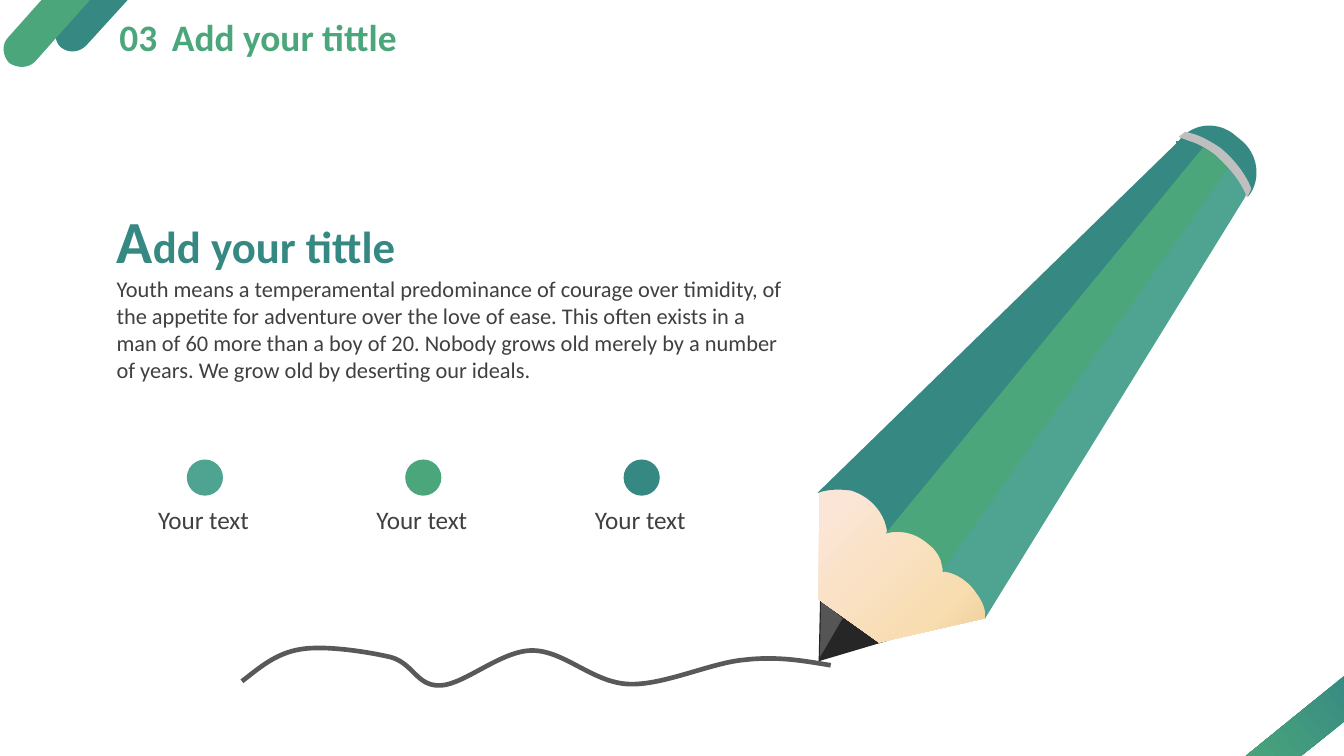
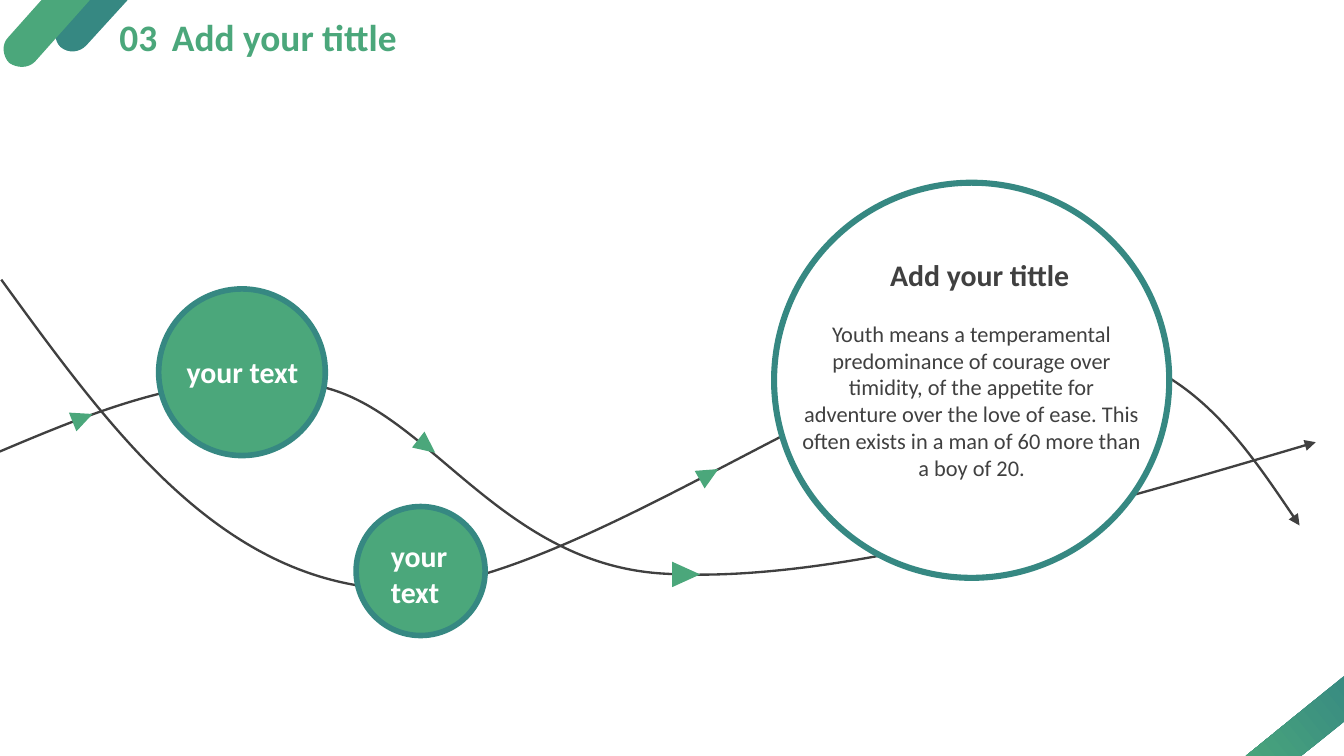
from math import cos, radians, sin

from lxml import etree
from pptx import Presentation
from pptx.dml.color import RGBColor
from pptx.enum.shapes import MSO_SHAPE as Preset
from pptx.enum.text import MSO_AUTO_SIZE as AutoSize, PP_ALIGN as Align
from pptx.oxml.ns import qn
from pptx.util import Pt

TEAL = RGBColor(0x36, 0x88, 0x82)
GREEN = RGBColor(0x4B, 0xA7, 0x7B)
SEA = RGBColor(0x4E, 0xA4, 0x91)
INK = RGBColor(0x40, 0x40, 0x40)
STROKE = RGBColor(0x59, 0x59, 0x59)
GRAPHITE = RGBColor(0x26, 0x26, 0x26)
SILVER = RGBColor(0xBF, 0xBF, 0xBF)
WHITE = RGBColor(0xFF, 0xFF, 0xFF)
SKIN = RGBColor(0xFB, 0xE5, 0xD6)
CREAM = RGBColor(0xF8, 0xDD, 0xB0)
TAN = RGBColor(0xE9, 0xC5, 0x8D)

FONT = "Calibri"
BAR_TURN, CORNER_TURN, PENCIL_TURN = 42.1, 50.9, 37.4
QUOTE = ("Youth means a temperamental predominance of courage over timidity, "
         "of the appetite for adventure over the love of ease. "
         "This often exists in a man of 60 more than a boy of 20.")
QUOTE_END = (" Nobody grows old merely by a number of years. "
             "We grow old by deserting our ideals.")

# Outlines use M, L, C and Z commands with slide positions in points.
TEAL_BAR = """M 42.5 0 L 68.4 0 L 46.1 24.5 C 42.5 28.1 36.7 28.8 32.4 25.2
    C 28.8 21.6 28.8 15.8 31.7 11.5 Z"""
GREEN_BAR = """M 22.3 0 L 48.2 0 L 18.7 33.1 C 15.1 36.7 9.4 36.7 5 33.8
    C 1.4 30.2 0.7 23.8 4.3 20.2 Z"""
CORNER = "M 720 362.2 L 720 386.6 L 697 405 L 667.4 405 Z"
ERASER = """M 631.4 75.6 C 638.6 66.2 650.9 64.8 660.2 71.3 L 664.6 74.9
    C 673.9 82.1 676.1 95.8 668.9 105.1 L 666.7 104.4
    C 664.6 105.1 658.8 108 653.8 108.7 C 648.7 109.4 643 110.2 639.4 108.7
    L 634.3 105.1 C 632.2 100.8 634.3 92.9 633.6 87.8
    C 632.9 82.8 630 77 630 75.6 Z"""
WOOD = """M 438.5 263.5 L 455.8 254.2 L 493.9 272.9 L 530.6 311.8
    L 527.8 331.2 L 470.9 344.2 L 438.5 321.1 Z"""
LEFT_FACE = """M 645.8 79.9 L 475.2 285.1 L 475.2 284.4
    C 473.8 274.3 465.8 265.7 455.8 262.8 C 450 262.1 445 262.1 439.9 263.5
    L 437.8 264.2 L 632.9 74.2 L 637.9 75.6 Z"""
MIDDLE_FACE = """M 650.9 82.8 C 653.8 85 655.9 87.1 658.1 90 L 658.8 90.7
    L 505.4 306.7 L 504 300.2 C 502.6 296.6 500.4 293.8 497.5 291.6
    C 491.8 286.6 485.3 284.4 478.1 285.1 L 474.5 285.8 L 644.4 79.2 Z"""
RIGHT_FACE = """M 658.1 90 L 663.1 96.5 C 664.6 98.6 666 101.5 666.7 103.7
    L 667.4 105.1 L 527.8 331.2 L 527.8 327.6
    C 527 324 525.6 321.1 523.4 318.2 C 519.8 312.5 514.1 308.2 508.3 306.7
    L 504.7 306 Z"""
FERRULE = """M 653.8 79.2 C 661.7 85.7 667.4 93.6 670.3 100.8 L 670.3 101.5
    L 668.2 105.8 L 667.4 104.4 C 664.6 97.2 658.8 90 650.9 82.8
    C 646.6 79.9 642.2 77 637.2 75.6 L 631.4 73.4 L 635 70.6 L 640.1 72
    C 644.4 73.4 649.4 76.3 653.8 79.2 Z"""
TIP_SHINE = "M 439.9 321.8 L 451.4 331.2 L 439.2 352.1 Z"
SCRIBBLE = """M 129.6 365 C 139 357.8 147.6 349.9 161.3 347.8
    C 174.2 345.6 197.3 349.2 209.5 352.1
    C 221.8 355.7 223.2 367.9 236.2 367.2
    C 249.1 366.5 268.6 348.5 285.1 348.5
    C 302.4 348.5 317.5 365.8 337 366.5
    C 355.7 367.2 380.9 355 398.9 353.5
    C 416.9 351.4 431.3 354.2 445 356.4"""
FALLING_ROUTE = """M 0.7 149.8 C 58.3 229 115.9 308.9 206.6 315.4
    C 297.4 321.1 463.7 190.1 545.8 184.3
    C 627.1 179.3 661.7 230.4 696.2 281.5"""
RISING_ROUTE = """M -3.6 243.4 C 52.6 219.6 108.7 195.8 169.2 206.6
    C 229 217.4 267.1 303.1 357.1 307.4
    C 446.4 312.5 576 275 704.9 236.9"""


def rotate(x, y, degrees):
    angle = radians(degrees)
    return x * cos(angle) - y * sin(angle), x * sin(angle) + y * cos(angle)


def read_outline(outline, turn):
    """Return (command, points in EMU) pairs, turned back by the given angle."""
    steps = []
    for token in outline.split():
        if token.isalpha():
            steps.append((token, []))
        else:
            steps[-1][1].append(float(token))
    return [(command, [tuple(Pt(v) for v in rotate(x, y, -turn))
                       for x, y in zip(values[::2], values[1::2])])
            for command, values in steps]


def trace(steps, parts=24):
    """List points along the outline, with each curve cut into short parts."""
    points = []
    for command, ends in steps:
        if command == "C":
            curve = [points[-1], *ends]
            for i in range(1, parts + 1):
                t = i / parts
                weights = ((1 - t) ** 3, 3 * t * (1 - t) ** 2,
                           3 * t * t * (1 - t), t ** 3)
                points.append(tuple(sum(w * p[axis] for w, p in zip(weights, curve))
                                    for axis in (0, 1)))
        else:
            points.extend(ends)
    return points


class Painter:
    """Holds the deck's style and draws on the current slide."""

    COMMANDS = {"M": "a:moveTo", "L": "a:lnTo", "C": "a:cubicBezTo", "Z": "a:close"}

    def __init__(self):
        self.deck = Presentation()
        self.deck.slide_width, self.deck.slide_height = Pt(720), Pt(405)
        self.page = None

    def new_page(self, number, title):
        self.page = self.deck.slides.add_slide(self.deck.slide_layouts[6])
        self.outline(TEAL_BAR, TEAL, turn=BAR_TURN)
        self.outline(GREEN_BAR, GREEN, turn=BAR_TURN)
        corner = self.outline(CORNER, TEAL, turn=CORNER_TURN)
        self.gradient(corner, 90, [(0, TEAL), (100, GREEN)])
        for text, left, width in ((number, 56.9, 35.3), (title, 85, 136.8)):
            self.text(text, left, 4.3, width, 31.7, 20, GREEN, bold=True)

    def paint(self, shape, fill, line, width):
        shape.shadow.inherit = False
        if fill is None:
            shape.fill.background()
        else:
            shape.fill.solid()
            shape.fill.fore_color.rgb = fill
        if line is None:
            shape.line.fill.background()
        else:
            shape.line.color.rgb = line
            shape.line.width = Pt(width)
        return shape

    def preset(self, kind, left, top, width, height, fill,
               line=None, line_width=0, turn=0):
        shape = self.page.shapes.add_shape(
            kind, Pt(left), Pt(top), Pt(width), Pt(height))
        shape.rotation = turn
        return self.paint(shape, fill, line, line_width)

    def circle(self, left, top, size, fill, line=None, line_width=0):
        return self.preset(Preset.OVAL, left, top, size, size, fill, line, line_width)

    def outline(self, outline, fill=None, line=None, line_width=0, turn=0):
        """Draw a curved freeform whose frame is rotated by the given angle."""
        steps = read_outline(outline, turn)
        start, *others = trace(steps)
        builder = self.page.shapes.build_freeform(*start, scale=1.0)
        builder.add_line_segments(others, close=steps[-1][0] == "Z")
        shape = builder.convert_to_shape()

        geometry = shape.element.find(".//" + qn("a:path"))
        for child in list(geometry):
            geometry.remove(child)
        for command, ends in steps:
            node = etree.SubElement(geometry, qn(self.COMMANDS[command]))
            for x, y in ends:
                etree.SubElement(node, qn("a:pt"),
                                 x=str(x - shape.left), y=str(y - shape.top))

        half_width, half_height = shape.width / 2, shape.height / 2
        x, y = rotate(shape.left + half_width, shape.top + half_height, turn)
        shape.left, shape.top = round(x - half_width), round(y - half_height)
        shape.rotation = turn
        return self.paint(shape, fill, line, line_width)

    def gradient(self, shape, angle, stops, follow_turn=True):
        solid = shape.element.spPr.find(qn("a:solidFill"))
        fill = etree.Element(qn("a:gradFill"), rotWithShape=str(int(follow_turn)))
        stop_list = etree.SubElement(fill, qn("a:gsLst"))
        for percent, color in stops:
            stop = etree.SubElement(stop_list, qn("a:gs"), pos=str(percent * 1000))
            etree.SubElement(stop, qn("a:srgbClr"), val=str(color))
        etree.SubElement(fill, qn("a:lin"), ang=str(angle * 60000), scaled="0")
        shape.element.spPr.replace(solid, fill)

    def fade(self, shape, percent):
        color = shape.element.spPr.find(qn("a:solidFill"))[0]
        etree.SubElement(color, qn("a:alpha"), val=str(percent * 1000))

    def route(self, outline):
        shape = self.outline(outline, line=INK, line_width=1.25)
        line = shape.element.spPr.find(qn("a:ln"))
        etree.SubElement(line, qn("a:tailEnd"), type="triangle")

    def text(self, text, left, top, width, height, size, color,
             bold=False, align=Align.LEFT, wrap=False, initial_size=None):
        """Add a text box; initial_size enlarges the first letter."""
        box = self.page.shapes.add_textbox(Pt(left), Pt(top), Pt(width), Pt(height))
        frame = box.text_frame
        frame.word_wrap = wrap
        frame.auto_size = AutoSize.SHAPE_TO_FIT_TEXT
        para = frame.paragraphs[0]
        para.alignment = align
        pieces = [(text, size)]
        if initial_size:
            pieces = [(text[0], initial_size), (text[1:], size)]
        for piece, piece_size in pieces:
            span = para.add_run()
            span.text = piece
            span.font.name = FONT
            span.font.size = Pt(piece_size)
            span.font.bold = bold
            span.font.color.rgb = color


def draw_pencil(painter):
    painter.outline(ERASER, TEAL, turn=PENCIL_TURN)
    painter.preset(Preset.ISOSCELES_TRIANGLE, 420.5, 316.1, 61.9, 42.5, GRAPHITE,
                   turn=180 + PENCIL_TURN)
    wood = painter.outline(WOOD, SKIN, turn=PENCIL_TURN)
    painter.gradient(wood, 45, [(25, SKIN), (69, CREAM), (94, TAN)],
                     follow_turn=False)
    for part, color in ((LEFT_FACE, TEAL), (MIDDLE_FACE, GREEN),
                        (RIGHT_FACE, SEA), (FERRULE, SILVER)):
        painter.outline(part, color, turn=PENCIL_TURN)
    painter.fade(painter.outline(TIP_SHINE, WHITE, turn=195.2), 22)


def pencil_page(painter):
    painter.new_page("03", "Add your tittle")
    draw_pencil(painter)
    painter.outline(SCRIBBLE, line=STROKE, line_width=2.5)
    painter.text("Add your tittle", 55.4, 105.8, 166.3, 46.1, 24, TEAL,
                 bold=True, initial_size=32)
    painter.text(QUOTE + QUOTE_END, 55.4, 144, 372.2, 65.5, 12, INK, wrap=True)
    for i, color in enumerate((SEA, GREEN, TEAL)):
        shift = 117 * i
        painter.circle(100.1 + shift, 246.2, 19.4, color)
        painter.text("Your text", 77.6 + shift, 266.4, 64.1, 23.8, 13.5, INK)


def routes_page(painter):
    painter.new_page("03", "Add your tittle")
    painter.route(FALLING_ROUTE)
    painter.route(RISING_ROUTE)
    painter.circle(414.7, 97.9, 211.7, WHITE, TEAL, 3.25)
    for left, top, width, height, turn in (
            (360.7, 300.2, 13.7, 15.1, 90), (38.9, 218.2, 10.8, 11.5, 68.2),
            (223.2, 233.3, 10.8, 11.5, 127.9), (374.4, 248.4, 10.8, 11.5, 60.6)):
        painter.preset(Preset.ISOSCELES_TRIANGLE, left, top, width, height,
                       GREEN, turn=turn)
    painter.text("Add your tittle", 468.7, 133.9, 112.3, 26.6, 16, INK,
                 bold=True, align=Align.CENTER)
    painter.text(QUOTE, 421.9, 167.8, 197.3, 94.3, 12, INK,
                 align=Align.CENTER, wrap=True)
    painter.circle(85, 154.8, 89.3, GREEN, TEAL, 3)
    painter.text("your text", 92.9, 185.8, 74.9, 26.6, 16, WHITE, bold=True)
    painter.circle(190.8, 271.4, 69.1, GREEN, TEAL, 3)
    painter.text("your text", 202.3, 284.4, 57.6, 46.1, 16, WHITE,
                 bold=True, wrap=True)


def main():
    painter = Painter()
    pencil_page(painter)
    routes_page(painter)
    painter.deck.save("out.pptx")


if __name__ == "__main__":
    main()
